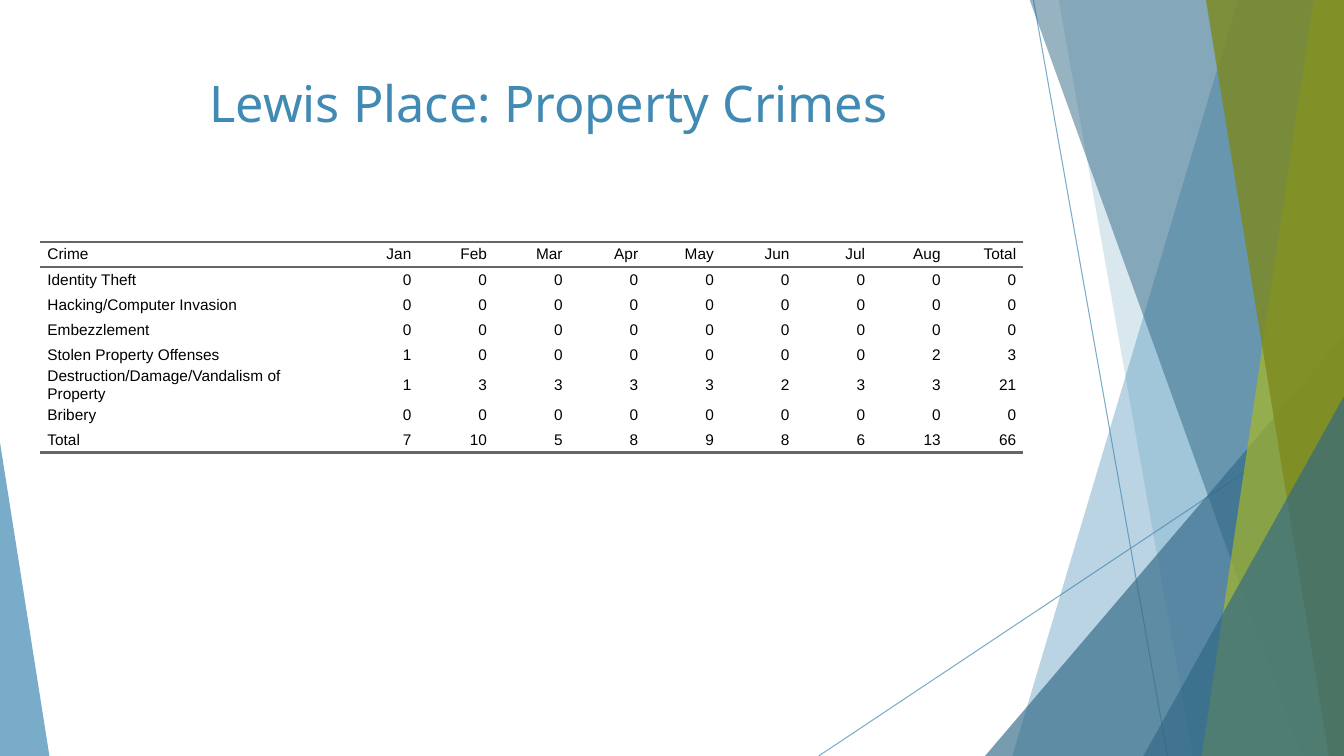
from dataclasses import dataclass

from lxml.etree import SubElement as Sub
from pptx import Presentation
from pptx.dml.color import RGBColor as Rgb
from pptx.enum.shapes import MSO_CONNECTOR as Link, MSO_SHAPE as Form
from pptx.enum.text import MSO_ANCHOR as Anchor, PP_ALIGN as Align
from pptx.oxml.ns import qn
from pptx.util import Inches, Pt

HUES = {
    "blue": "418AB3",
    "navy": "316886",
    "lime": "A6B727",
    "olive": "7D891D",
    "rule": "666666",
    "black": "000000",
}
WIDE, HIGH = 13.33, 7.5
PAD = 0.07
PLAIN = "{2D5ABB26-0587-4C30-8999-92F81FD0307C}"
MONTHS = ["Jan", "Feb", "Mar", "Apr", "May", "Jun", "Jul", "Aug"]


@dataclass
class Ray:
    start: tuple[float, float]
    end: tuple[float, float]


@dataclass
class Band:
    top: float
    foot: float
    hue: str
    alpha: int


@dataclass
class Wedge:
    left: float
    top: float
    width: float
    tip: float
    hue: str
    alpha: int


@dataclass
class Crime:
    name: str
    counts: list[int]
    total: int


RAYS = [Ray((10.25, 0), (11.58, HIGH)), Ray((WIDE, 4.03), (8.12, HIGH))]
SHARDS = [
    Band(12.28, 10.04, "blue", 36),
    Band(10.5, 11.83, "blue", 20),
    Wedge(9.77, 3.33, 3.56, 1, "navy", 66),
    Band(10.21, 12.91, "navy", 50),
    Band(13.03, 11.92, "lime", 70),
    Band(11.96, 13.18, "olive", 80),
    Wedge(11.34, 3.93, 1.99, 1, "navy", 66),
    Wedge(0, 4.39, 0.49, 0, "blue", 70),
]
CRIMES = [
    Crime("Identity Theft", [0] * 8, 0),
    Crime("Hacking/Computer Invasion", [0] * 8, 0),
    Crime("Embezzlement", [0] * 8, 0),
    Crime("Stolen Property Offenses", [1, 0, 0, 0, 0, 0, 0, 2], 3),
    Crime("Destruction/Damage/Vandalism of Property", [1, 3, 3, 3, 3, 2, 3, 3], 21),
    Crime("Bribery", [0] * 8, 0),
    Crime("Total", [7, 10, 5, 8, 9, 8, 6, 13], 66),
]


def fade(node, alpha: int) -> None:
    for tone in node.iter(qn("a:srgbClr")):
        Sub(tone, qn("a:alpha"), val=str(alpha * 1000))


def write(frame, text: str, *, size: float, font: str, hue: str, align, gap: float = 0):
    para = frame.paragraphs[0]
    para.alignment = align
    para.space_before = para.space_after = Pt(gap)
    run = para.add_run()
    run.text = text
    run.font.size = Pt(size)
    run.font.name = font
    run.font.bold = False
    run.font.color.rgb = Rgb.from_string(HUES[hue])
    return para


def draw_ray(slide, ray: Ray) -> None:
    ends = [Inches(n) for n in (*ray.start, *ray.end)]
    line = slide.shapes.add_connector(Link.STRAIGHT, *ends)
    line.line.color.rgb = Rgb.from_string(HUES["blue"])
    line.line.width = Pt(0.75)
    props = line._element.spPr
    fade(props, 70)
    Sub(props, qn("a:effectLst"))


def draw_shard(slide, item: Band | Wedge) -> None:
    if isinstance(item, Band):
        pen = slide.shapes.build_freeform(Inches(item.top), Inches(-0.01))
        spots = [(WIDE, -0.01), (WIDE, HIGH), (item.foot, HIGH)]
        pen.add_line_segments([(Inches(x), Inches(y)) for x, y in spots])
        shape = pen.convert_to_shape()
    else:
        box = (item.left, item.top, item.width, HIGH - item.top)
        shape = slide.shapes.add_shape(Form.ISOSCELES_TRIANGLE, *map(Inches, box))
        shape.adjustments[0] = item.tip
    shape.shadow.inherit = False
    shape.fill.solid()
    shape.fill.fore_color.rgb = Rgb.from_string(HUES[item.hue])
    shape.line.fill.background()
    fade(shape._element.spPr, item.alpha)


def add_rule(cell, side: str) -> None:
    line = Sub(cell._tc.get_or_add_tcPr(), qn(side), w=str(Pt(2)))
    fill = Sub(line, qn("a:solidFill"))
    Sub(fill, qn("a:srgbClr"), val=HUES["rule"])


def draw_table(slide) -> None:
    rows = [["Crime", *MONTHS, "Total"]]
    rows += [[crime.name, *map(str, crime.counts), str(crime.total)] for crime in CRIMES]
    widths = [3] + [0.75] * (len(MONTHS) + 1)
    box = (0.4, 2.4, sum(widths), 0.25 * len(rows))
    frame = slide.shapes.add_table(len(rows), len(widths), *map(Inches, box))
    for style in frame._element.iter(qn("a:tableStyleId")):
        style.text = PLAIN
    table = frame.table
    table.first_row = table.horz_banding = False
    for col, width in zip(table.columns, widths):
        col.width = Inches(width)
    for r, row in enumerate(rows):
        table.rows[r].height = Inches(0.25)
        for c, text in enumerate(row):
            cell = table.cell(r, c)
            cell.margin_left = cell.margin_right = 0
            cell.margin_top = cell.margin_bottom = 0
            cell.vertical_anchor = Anchor.MIDDLE
            align = Align.RIGHT if c else Align.LEFT
            para = write(cell.text_frame, text, size=11, font="Arial",
                         hue="black", align=align, gap=5)
            props = para._p.get_or_add_pPr()
            for side in ("marL", "marR"):
                props.set(side, str(Inches(PAD)))
            props.set("indent", "0")
            if r == 0:
                add_rule(cell, "a:lnT")
            if r in (0, len(rows) - 1):
                add_rule(cell, "a:lnB")
            cell.fill.background()


def set_title(slide) -> None:
    title = slide.shapes.title
    title.left, title.top = Inches(0.74), Inches(0.67)
    title.width, title.height = Inches(9.4), Inches(1.44)
    title.text_frame.vertical_anchor = Anchor.TOP
    title.text_frame.word_wrap = True
    write(title.text_frame, "Lewis Place: Property Crimes", size=36,
          font="Noto Sans", hue="blue", align=Align.CENTER)


def main() -> None:
    deck = Presentation()
    deck.slide_width, deck.slide_height = Inches(WIDE), Inches(HIGH)
    slide = deck.slides.add_slide(deck.slide_layouts[5])
    for ray in RAYS:
        draw_ray(slide, ray)
    for item in SHARDS:
        draw_shard(slide, item)
    draw_table(slide)
    set_title(slide)
    deck.save("out.pptx")


if __name__ == "__main__":
    main()
